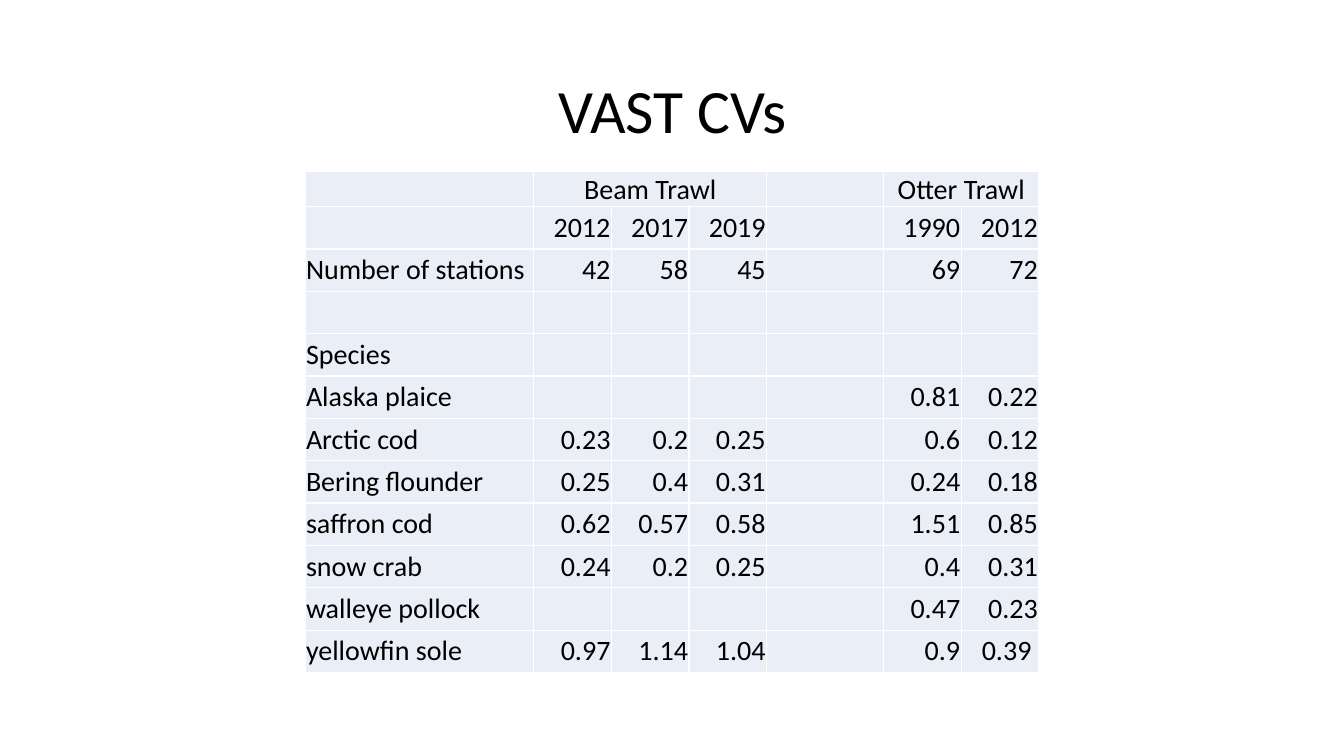
from lxml import etree
from pptx import Presentation
from pptx import util as u
from pptx.dml.color import RGBColor
from pptx.enum import text
from pptx.oxml.ns import qn

BLACK = RGBColor(0x00, 0x00, 0x00)
WHITE = RGBColor(0xFF, 0xFF, 0xFF)
PALE_BLUE = RGBColor(0xEA, 0xEF, 0xF7)
FONT = "Calibri"
WIDTH, HEIGHT = 13.33, 7.5
YEAR_COL = 0.77
COLUMNS = [2.27] + [YEAR_COL] * 3 + [1.16] + [YEAR_COL] * 2
HEADER_ROW, DATA_ROW = 0.35, 0.42
SPANS = [(1, 3), (5, 6)]

ROWS = [
    ["", "Beam Trawl", "", "", "", "Otter Trawl", ""],
    ["", "2012", "2017", "2019", "", "1990", "2012"],
    ["Number of stations", "42", "58", "45", "", "69", "72"],
    [""] * 7,
    ["Species"] + [""] * 6,
    ["Alaska plaice", "", "", "", "", "0.81", "0.22"],
    ["Arctic cod", "0.23", "0.2", "0.25", "", "0.6", "0.12"],
    ["Bering flounder", "0.25", "0.4", "0.31", "", "0.24", "0.18"],
    ["saffron cod", "0.62", "0.57", "0.58", "", "1.51", "0.85"],
    ["snow crab", "0.24", "0.2", "0.25", "", "0.4", "0.31"],
    ["walleye pollock", "", "", "", "", "0.47", "0.23"],
    ["yellowfin sole", "0.97", "1.14", "1.04", "", "0.9", "0.39 "],
]


def style_font(font, size):
    font.name = FONT
    font.size = u.Pt(size)
    font.color.rgb = BLACK


def write(p, words, size, align):
    p.alignment = align
    if words:
        r = p.add_run()
        r.text = words
        style_font(r.font, size)
    else:
        style_font(p.font, size)


def add_borders(cell):
    tc_pr = cell._tc.get_or_add_tcPr()
    for i, side in enumerate(("lnL", "lnR", "lnT", "lnB")):
        ln = etree.Element(qn(f"a:{side}"), w=str(u.Pt(1)))
        fill = etree.SubElement(ln, qn("a:solidFill"))
        etree.SubElement(fill, qn("a:srgbClr"), val=str(WHITE))
        tc_pr.insert(i, ln)


def fill_cell(cell, words, row, col):
    cell.fill.solid()
    cell.fill.fore_color.rgb = PALE_BLUE
    add_borders(cell)
    cell.vertical_anchor = text.MSO_ANCHOR.BOTTOM
    cell.margin_left = cell.margin_right = u.Inches(0.01)
    cell.margin_top = u.Inches(0.04 if row else 0.01)
    cell.margin_bottom = u.Inches(0.04 if row else 0)
    if row == 0:
        align = text.PP_ALIGN.CENTER
    else:
        align = text.PP_ALIGN.RIGHT if col else text.PP_ALIGN.LEFT
    write(cell.text_frame.paragraphs[0], words, 20, align)


def add_cv_table(slide):
    heights = [HEADER_ROW] + [DATA_ROW] * (len(ROWS) - 1)
    width = sum(COLUMNS)
    frame = slide.shapes.add_table(
        len(ROWS), len(COLUMNS), u.Inches((WIDTH - width) / 2), u.Inches(1.7),
        u.Inches(width), u.Inches(sum(heights)))
    table = frame.table
    table.first_row = table.horz_banding = False
    for column, size in zip(table.columns, COLUMNS):
        column.width = u.Inches(size)
    for row, size in zip(table.rows, heights):
        row.height = u.Inches(size)
    for i, words in enumerate(ROWS):
        for j, word in enumerate(words):
            fill_cell(table.cell(i, j), word, i, j)
    for first, last in SPANS:
        table.cell(0, first).merge(table.cell(0, last))


def set_title(slide, words):
    title = slide.shapes.title
    title.left, title.top = u.Inches(0.92), u.Inches(0.4)
    title.width, title.height = u.Inches(11.5), u.Inches(1.45)
    tf = title.text_frame
    tf.vertical_anchor = text.MSO_ANCHOR.MIDDLE
    p = tf.paragraphs[0]
    p.line_spacing = 0.9
    write(p, words, 44, text.PP_ALIGN.CENTER)
    title.element.getparent().append(title.element)


def main():
    prs = Presentation()
    prs.slide_width, prs.slide_height = u.Inches(WIDTH), u.Inches(HEIGHT)
    slide = prs.slides.add_slide(prs.slide_layouts[5])
    add_cv_table(slide)
    set_title(slide, "VAST CVs")
    prs.save("out.pptx")


if __name__ == "__main__":
    main()
